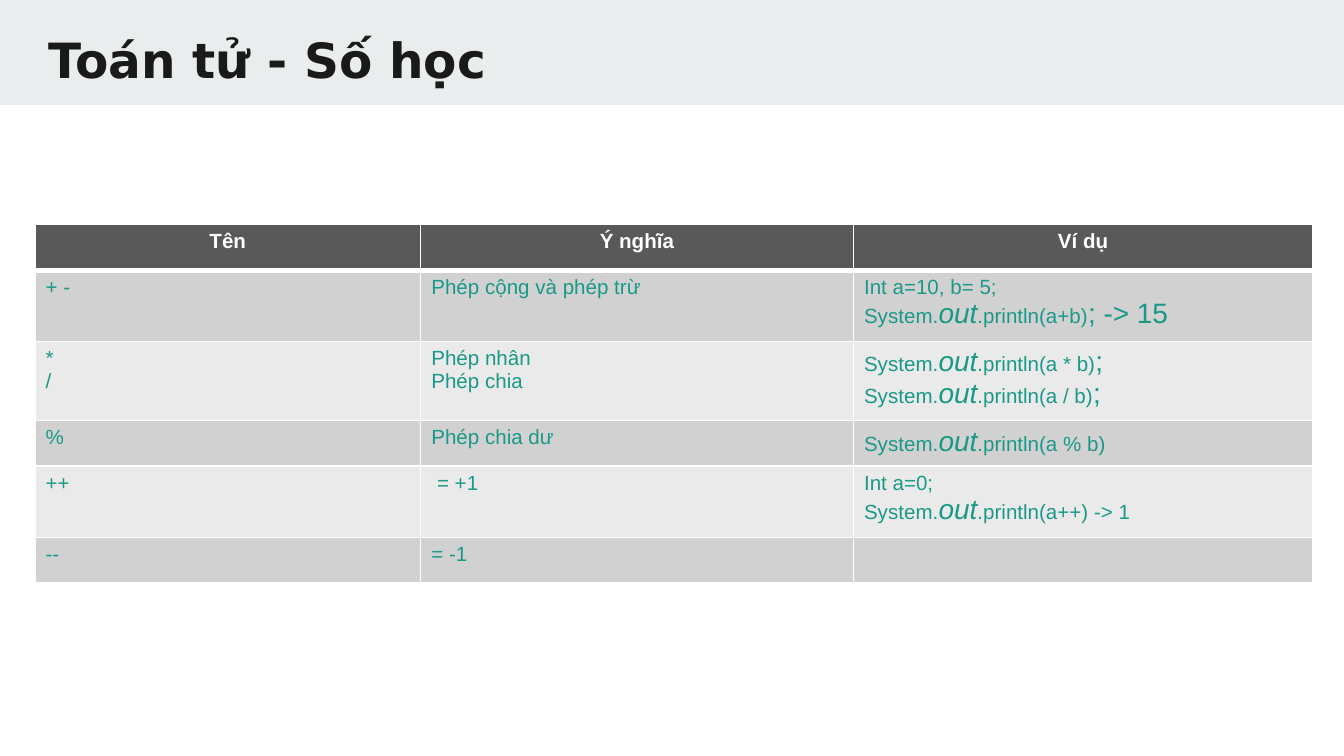
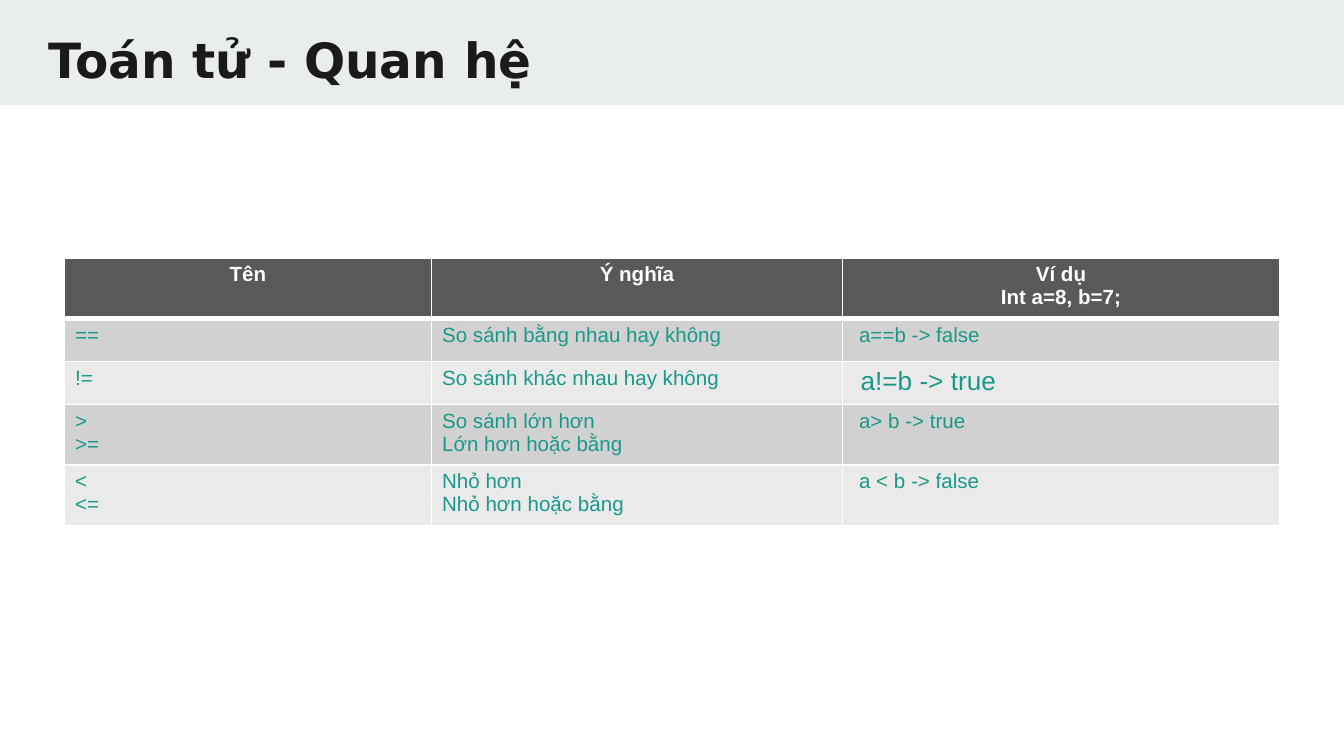
from dataclasses import dataclass

from lxml.etree import SubElement
from pptx import Presentation
from pptx.dml.color import RGBColor
from pptx.enum.shapes import MSO_SHAPE
from pptx.enum.text import MSO_ANCHOR, MSO_AUTO_SIZE, PP_ALIGN
from pptx.oxml.ns import qn
from pptx.util import Inches, Pt


@dataclass(frozen=True)
class Theme:
    """Colours, fonts and type sizes shared by the slides."""
    band: str = "E9EDEE"
    title: str = "1A1A1A"
    header: str = "595959"
    rows: tuple = ("D1D1D1", "EAEAEA")
    text: str = "1A9988"
    white: str = "FFFFFF"
    title_font: str = "DejaVu Sans"
    body_font: str = "Arial"
    title_size: float = 26
    body_size: float = 11
    medium_size: float = 14
    large_size: float = 15
    border: float = 1
    header_border: float = 3


THEME = Theme()
TITLE_BOX = (0.26, 0.12, 9.52, 0.59)


def println(arguments, *tail):
    """Return the runs of a print statement with its field name in large italics."""
    return [("System.",), ("out", THEME.large_size, True), (f".println({arguments})",), *tail]


LARGE_END = (";", THEME.large_size)

ARITHMETIC = [
    ["Tên", "Ý nghĩa", "Ví dụ"],
    ["+ -", "Phép cộng và phép trừ",
     ["Int a=10, b= 5;", println("a+b", ("; -> 15", THEME.large_size))]],
    ["*\n/", "Phép nhân\nPhép chia", [println("a * b", LARGE_END), println("a / b", LARGE_END)]],
    ["%", "Phép chia dư", [println("a % b")]],
    ["++", " = +1", ["Int a=0;", println("a++", (" -> 1",))]],
    ["--", "= -1", ""],
]

RELATIONAL = [
    ["Tên", "Ý nghĩa", "Ví dụ\nInt a=8, b=7;"],
    ["==", "So sánh bằng nhau hay không", " a==b -> false"],
    ["!=", "So sánh khác nhau hay không", [[(" a!=b -> true", THEME.medium_size)]]],
    [">\n>=", "So sánh lớn hơn\nLớn hơn hoặc bằng", " a> b -> true"],
    ["<\n<=", "Nhỏ hơn\nNhỏ hơn hoặc bằng", " a < b -> false"],
]


def rgb(value):
    """Return a colour from its hex text."""
    return RGBColor.from_string(value)


def add_run(p, text, font, size, color, bold=False, italic=False):
    """Add one formatted run to a paragraph."""
    r = p.add_run()
    r.text = text
    r.font.name = font
    r.font.size = Pt(size)
    r.font.bold = bold
    r.font.italic = italic
    r.font.color.rgb = rgb(color)


def add_band(prs, s, layout):
    """Place the header band on the layout, behind its placeholders."""
    sp = s.shapes.add_shape(MSO_SHAPE.RECTANGLE, 0, 0, prs.slide_width, Inches(0.78))
    sp.shadow.inherit = False
    sp.fill.solid()
    sp.fill.fore_color.rgb = rgb(THEME.band)
    sp.line.fill.background()
    layout.shapes._spTree.insert(2, sp._element)


def add_title(s, text, box):
    """Fill the title placeholder and fit it to the box."""
    sp = s.shapes.title
    sp.left, sp.top, sp.width, sp.height = map(Inches, box)
    tf = sp.text_frame
    tf.word_wrap = True
    tf.auto_size = MSO_AUTO_SIZE.NONE
    tf.vertical_anchor = MSO_ANCHOR.TOP
    tf.margin_left = tf.margin_right = tf.margin_top = tf.margin_bottom = Inches(0.1)
    p = tf.paragraphs[0]
    p.alignment = PP_ALIGN.LEFT
    add_run(p, text, THEME.title_font, THEME.title_size, THEME.title, bold=True)


def set_borders(cell, top, bottom):
    """Draw white lines on the four sides of a cell."""
    tc_pr = cell._tc.get_or_add_tcPr()
    widths = {"L": THEME.border, "R": THEME.border, "T": top, "B": bottom}
    for side, width in widths.items():
        ln = SubElement(tc_pr, qn(f"a:ln{side}"), w=str(Pt(width)))
        SubElement(SubElement(ln, qn("a:solidFill")), qn("a:srgbClr"), val=THEME.white)


def fill_cell(cell, content, row):
    """Write the lines of a cell and style it by its row."""
    is_header = row == 0
    set_borders(cell,
                THEME.header_border if row == 1 else THEME.border,
                THEME.header_border if is_header else THEME.border)
    cell.fill.solid()
    cell.fill.fore_color.rgb = rgb(THEME.header if is_header else THEME.rows[(row - 1) % 2])
    cell.margin_left = cell.margin_right = Inches(0.08)
    cell.margin_top = cell.margin_bottom = Inches(0.04)
    tf = cell.text_frame
    lines = content.split("\n") if isinstance(content, str) else content
    for i, line in enumerate(lines):
        p = tf.paragraphs[0] if i == 0 else tf.add_paragraph()
        p.alignment = PP_ALIGN.CENTER if is_header else PP_ALIGN.LEFT
        if not line:
            SubElement(p._p, qn("a:endParaRPr"), sz=str(THEME.body_size * 100))
            continue
        for text, *style in [(line,)] if isinstance(line, str) else line:
            size, italic = (*style, *(THEME.body_size, False)[len(style):])
            add_run(p, text, THEME.body_font, size,
                    THEME.white if is_header else THEME.text, is_header, italic)


def add_operator_table(s, data, left, top, widths, heights):
    """Add a table of operators with its corner at left and top."""
    frame = s.shapes.add_table(len(heights), len(widths), Inches(left), Inches(top),
                               Inches(sum(widths)), Inches(sum(heights)))
    table = frame.table
    table.horz_banding = False
    for column, width in zip(table.columns, widths):
        column.width = Inches(width)
    for i, (row, height) in enumerate(zip(table.rows, heights)):
        row.height = Inches(height)
        for cell, content in zip(row.cells, data[i]):
            fill_cell(cell, content, i)


def add_operator_slide(prs, layout, title, data, left, top, widths, heights):
    """Add a slide with a title and one operator table."""
    s = prs.slides.add_slide(layout)
    add_title(s, title, TITLE_BOX)
    add_operator_table(s, data, left, top, widths, heights)
    return s


def main():
    """Build and save the presentation."""
    prs = Presentation()
    prs.slide_width = Inches(10)
    prs.slide_height = prs.slide_width * 9 // 16
    layout = prs.slide_layouts[5]
    s = add_operator_slide(prs, layout, "Toán tử - Số học", ARITHMETIC, 0.26, 1.67,
                           (2.87, 3.22, 3.42), (0.34, 0.53, 0.59, 0.34, 0.53, 0.34))
    add_band(prs, s, layout)
    add_operator_slide(prs, layout, "Toán tử - Quan hệ", RELATIONAL, 0.48, 1.92,
                       (2.73, 3.06, 3.25), (0.45, 0.32, 0.32, 0.45, 0.45))
    prs.save("out.pptx")


if __name__ == "__main__":
    main()
